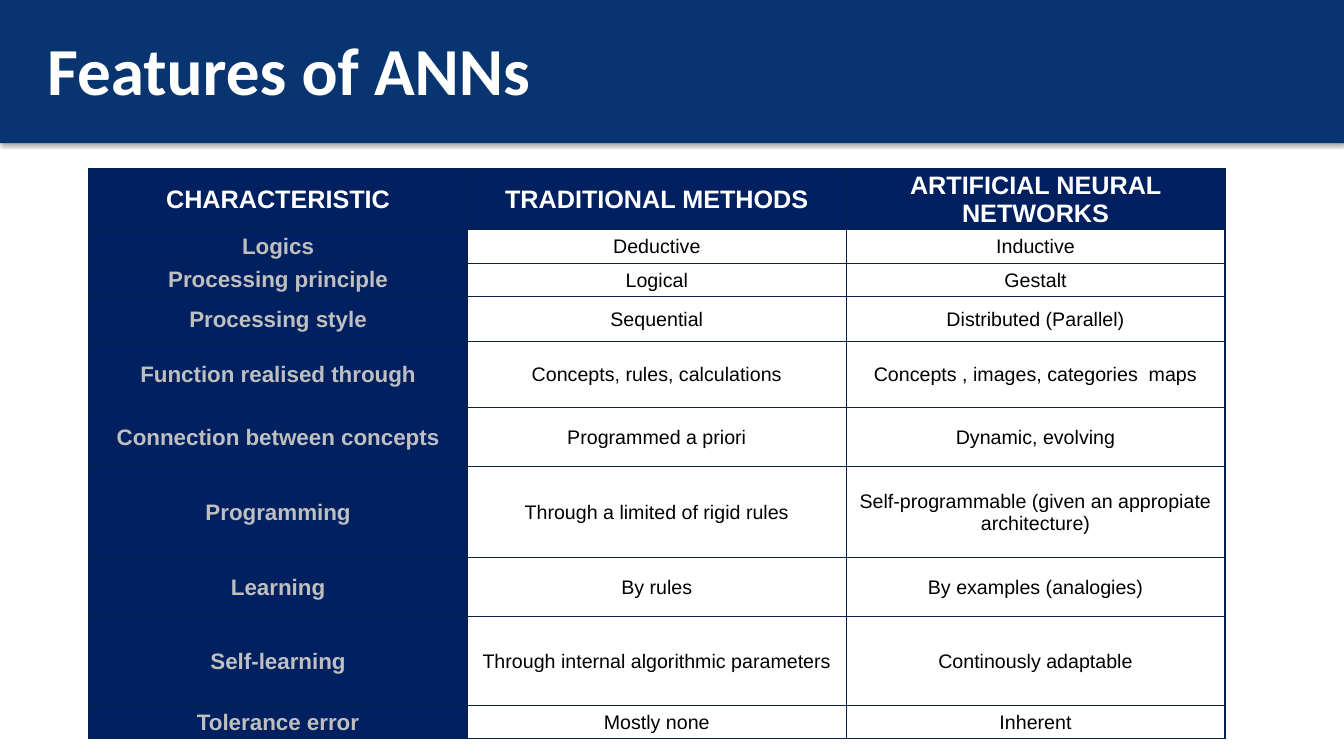
import lxml.etree
import pptx
import pptx.dml.color
import pptx.enum.shapes
import pptx.enum.text
import pptx.oxml.ns
import pptx.util

Inches = pptx.util.Inches
Pt = pptx.util.Pt
RGBColor = pptx.dml.color.RGBColor
qn = pptx.oxml.ns.qn
MIDDLE = pptx.enum.text.MSO_ANCHOR.MIDDLE

BANNER_BLUE = RGBColor(0x08, 0x34, 0x70)
CELL_NAVY = RGBColor(0x00, 0x20, 0x60)
BORDER_NAVY = RGBColor(0x05, 0x21, 0x47)
WHITE = RGBColor(0xFF, 0xFF, 0xFF)
GREY = RGBColor(0xBF, 0xBF, 0xBF)
BLACK = RGBColor(0x00, 0x00, 0x00)

TITLE_FONT = {"name": "Calibri", "size": Pt(48), "bold": True, "color": WHITE}
HEADER_FONT = {"name": "Arial", "size": Pt(18), "bold": True, "color": WHITE}
LABEL_FONT = {"name": "Arial", "size": Pt(16), "bold": True, "color": GREY}
VALUE_FONT = {"name": "Arial", "size": Pt(14), "bold": False, "color": BLACK}
CELL_FORMAT = {
    "vertical_anchor": MIDDLE,
    "margin_left": Inches(0.01),
    "margin_right": Inches(0.01),
    "margin_top": Inches(0.01),
    "margin_bottom": 0,
}

# Height of each row, then its three cells
ROWS = [
    (0.59, "CHARACTERISTIC", "TRADITIONAL METHODS", "ARTIFICIAL NEURAL NETWORKS"),
    (0.33, "Logics", "Deductive", "Inductive"),
    (0.33, "Processing principle", "Logical", "Gestalt"),
    (0.45, "Processing style", "Sequential", "Distributed (Parallel)"),
    (0.65, "Function realised through", "Concepts, rules, calculations",
     "Concepts , images, categories  maps"),
    (0.59, "Connection between concepts", "Programmed a priori", "Dynamic, evolving"),
    (0.9, "Programming", "Through a limited of rigid rules",
     "Self-programmable (given an appropiate architecture)"),
    (0.59, "Learning", "By rules", "By examples (analogies)"),
    (0.88, "Self-learning", "Through internal algorithmic parameters",
     "Continously adaptable"),
    (0.33, "Tolerance error", "Mostly none", "Inherent"),
]


def write_text(para, text, font_format):
    span = para.add_run()
    span.text = text
    for name, value in font_format.items():
        if name == "color":
            span.font.color.rgb = value
        else:
            setattr(span.font, name, value)


def add_shadow(shape):
    """Give the shape a soft shadow that falls straight down."""
    shape.shadow.inherit = False
    effects = shape._element.spPr.find(qn("a:effectLst"))
    shadow = lxml.etree.SubElement(
        effects, qn("a:outerShdw"), blurRad=str(Pt(3.1)), dist=str(Pt(1.8)),
        dir="5400000", rotWithShape="0")
    color = lxml.etree.SubElement(shadow, qn("a:srgbClr"), val=str(BLACK))
    lxml.etree.SubElement(color, qn("a:alpha"), val="35000")


def add_borders(cell):
    properties = cell._tc.get_or_add_tcPr()
    for side in ("lnL", "lnR", "lnT", "lnB"):
        line = lxml.etree.SubElement(properties, qn(f"a:{side}"), w=str(Pt(1)))
        fill = lxml.etree.SubElement(line, qn("a:solidFill"))
        lxml.etree.SubElement(fill, qn("a:srgbClr"), val=str(BORDER_NAVY))


def add_banner(page, left, top, width, height, title):
    banner = page.shapes.add_shape(
        pptx.enum.shapes.MSO_SHAPE.RECTANGLE,
        Inches(left), Inches(top), Inches(width), Inches(height))
    banner.fill.solid()
    banner.fill.fore_color.rgb = BANNER_BLUE
    banner.line.fill.background()
    add_shadow(banner)

    box = page.shapes.add_textbox(
        Inches(left + 0.37), Inches(top + 0.06),
        Inches(width - 2.37), Inches(height - 0.17))
    frame = box.text_frame
    frame.word_wrap = True
    frame.vertical_anchor = MIDDLE
    write_text(frame.paragraphs[0], title, TITLE_FONT)


def fill_cell(cell, text, font_format, is_navy):
    for name, value in CELL_FORMAT.items():
        setattr(cell, name, value)
    add_borders(cell)
    if is_navy:
        cell.fill.solid()
        cell.fill.fore_color.rgb = CELL_NAVY
    else:
        cell.fill.background()
    para = cell.text_frame.paragraphs[0]
    para.alignment = pptx.enum.text.PP_ALIGN.CENTER
    write_text(para, text, font_format)


def add_comparison(page, left, top, width):
    """Place the comparison table; its height follows from its rows."""
    column_count = len(ROWS[0]) - 1
    height = sum(row[0] for row in ROWS)
    table = page.shapes.add_table(
        len(ROWS), column_count,
        Inches(left), Inches(top), Inches(width), Inches(height)).table
    table.first_row = False
    table.horz_banding = False
    for column in table.columns:
        column.width = Inches(width / column_count)
    for row_index, (row_height, *texts) in enumerate(ROWS):
        table.rows[row_index].height = Inches(row_height)
        for column_index, text in enumerate(texts):
            if row_index == 0:
                font_format = HEADER_FONT
            elif column_index == 0:
                font_format = LABEL_FONT
            else:
                font_format = VALUE_FONT
            fill_cell(table.cell(row_index, column_index), text, font_format,
                      font_format is not VALUE_FONT)


def main():
    deck = pptx.Presentation()
    deck.slide_width = Inches(13.33)
    deck.slide_height = Inches(7.5)
    page = deck.slides.add_slide(deck.slide_layouts[6])
    add_banner(page, 0, 0, 13.33, 1.42, "Features of ANNs")
    add_comparison(page, 0.88, 1.67, 11.27)
    deck.save("out.pptx")


if __name__ == "__main__":
    main()
